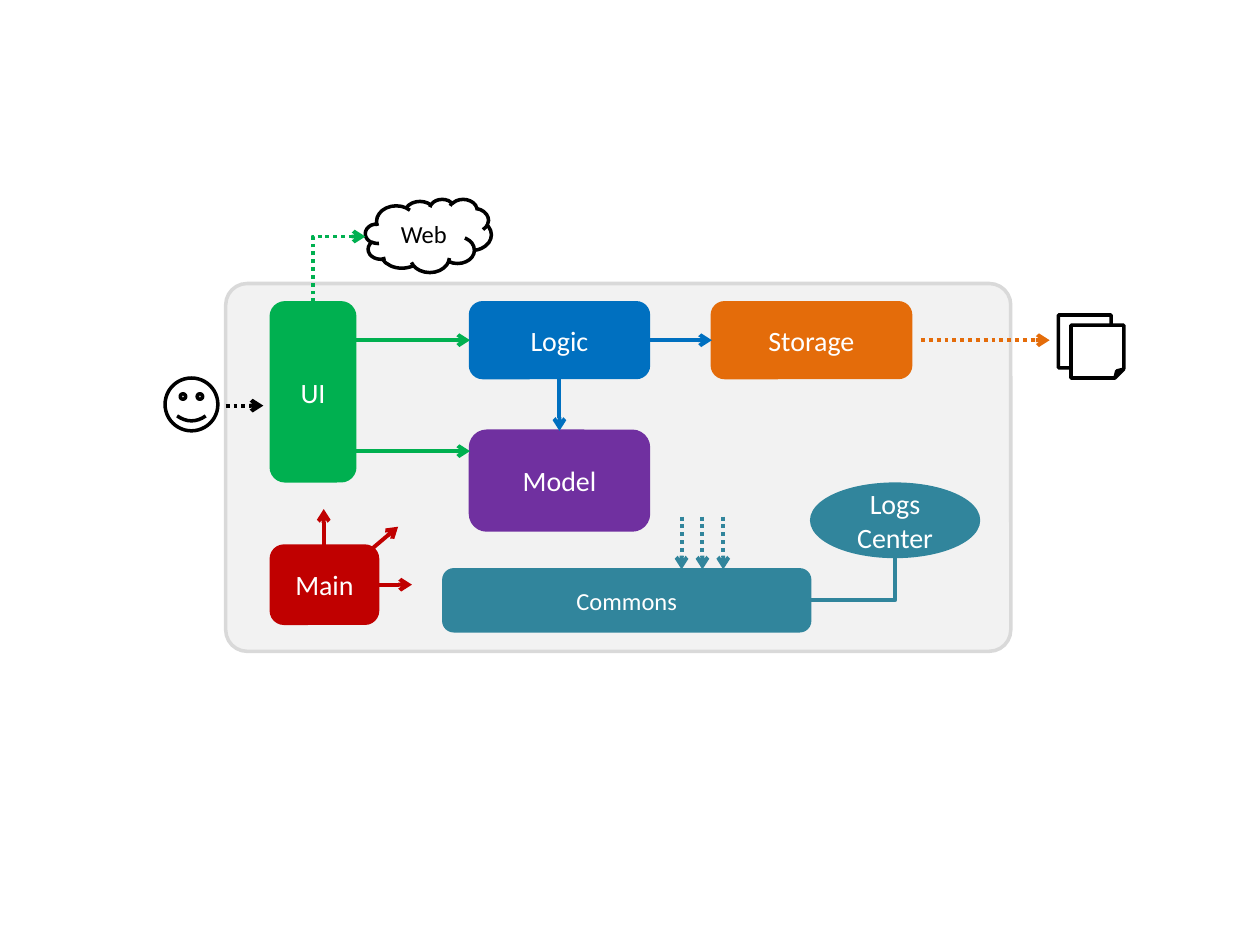
from lxml.etree import SubElement
from pptx import Presentation
from pptx.dml.color import RGBColor
from pptx.enum.dml import MSO_LINE
from pptx.enum.shapes import MSO_CONNECTOR as Connector, MSO_SHAPE as Shape
from pptx.enum.text import MSO_ANCHOR, PP_ALIGN
from pptx.oxml.ns import qn
from pptx.util import Pt

WHITE = RGBColor(0xFF, 0xFF, 0xFF)
BLACK = RGBColor(0x00, 0x00, 0x00)
PANEL = RGBColor(0xF2, 0xF2, 0xF2)
PANEL_EDGE = RGBColor(0xD9, 0xD9, 0xD9)
GREEN = RGBColor(0x00, 0xB0, 0x50)
BLUE = RGBColor(0x00, 0x70, 0xC0)
ORANGE = RGBColor(0xE4, 0x6C, 0x0A)
PURPLE = RGBColor(0x70, 0x30, 0xA0)
TEAL = RGBColor(0x31, 0x85, 0x9C)
RED = RGBColor(0xC0, 0x00, 0x00)


def add_box(slide, kind, box, fill, edge, width=1.5, text="", size=16, color=WHITE):
    """Add a filled preset shape with optional centred text."""
    shape = slide.shapes.add_shape(kind, *map(Pt, box))
    shape.shadow.inherit = False
    shape.fill.solid()
    shape.fill.fore_color.rgb = fill
    shape.line.color.rgb = edge
    shape.line.width = Pt(width)
    if text:
        frame = shape.text_frame
        frame.text = text
        frame.word_wrap = True
        frame.vertical_anchor = MSO_ANCHOR.MIDDLE
        paragraph = frame.paragraphs[0]
        paragraph.alignment = PP_ALIGN.CENTER
        paragraph.font.name = "Calibri"
        paragraph.font.size = Pt(size)
        paragraph.font.color.rgb = color
    return shape


def add_component(slide, box, color, text, size=16):
    """Add a rounded component in one colour."""
    return add_box(slide, Shape.ROUNDED_RECTANGLE, box, color, color, text=text, size=size)


def add_line(slide, start, end, color, dotted=False, arrow=True, kind=Connector.STRAIGHT):
    """Add a connector, dotted or solid, with or without an arrowhead."""
    connector = slide.shapes.add_connector(kind, *map(Pt, (*start, *end)))
    connector.line.color.rgb = color
    connector.line.width = Pt(2.25)
    if dotted:
        connector.line.dash_style = MSO_LINE.ROUND_DOT
    properties = connector.element.spPr
    if arrow:
        SubElement(properties.find(qn("a:ln")), qn("a:tailEnd"), type="arrow")
    SubElement(properties, qn("a:effectLst"))
    return connector


def add_elbow(slide, start, end, color, dotted=False, arrow=True):
    """Add a one-bend connector that runs vertically, then horizontally."""
    center_x, center_y = (start[0] + end[0]) / 2, (start[1] + end[1]) / 2
    turned = [(center_x + y - center_y, center_y - x + center_x) for x, y in (start, end)]
    connector = add_line(slide, *turned, color, dotted, arrow, Connector.ELBOW)
    properties = connector.element.spPr
    properties.find(qn("a:prstGeom")).set("prst", "bentConnector2")
    properties.find(qn("a:xfrm")).set("rot", "5400000")


def add_panel(slide, left, top, width, height):
    """Draw the application frame."""
    panel = add_box(slide, Shape.ROUNDED_RECTANGLE, (left, top, width, height),
                    PANEL, PANEL_EDGE, 2)
    panel.adjustments[0] = 0.058


def add_core(slide, left, top):
    """Draw UI, Logic, Storage and Model with the calls between them."""
    ui_right, logic_left = left + 48.2, left + 113.8
    logic_right, storage_left = logic_left + 102.2, left + 252
    logic_bottom, model_top = top + 43.2, top + 73.4
    logic_middle, call_y = logic_left + 51.1, top + 21.6
    add_component(slide, (left, top, 48.2, 102.2), GREEN, "UI")
    add_component(slide, (logic_left, top, 102.2, 43.2), BLUE, "Logic")
    add_component(slide, (storage_left, top, 113.8, 43.2), ORANGE, "Storage")
    add_component(slide, (logic_left, model_top, 102.2, 56.9), PURPLE, "Model")
    for y in (call_y, top + 85):
        add_line(slide, (ui_right, y), (logic_left, y), GREEN)
    add_line(slide, (logic_middle, logic_bottom), (logic_middle, model_top), BLUE)
    add_line(slide, (logic_right, call_y), (storage_left, call_y), BLUE)


def add_main(slide, left, top):
    """Draw Main with its three outgoing arrows."""
    add_component(slide, (left, top, 61.2, 44.6), RED, "Main")
    for start, end in (((61.2, 22.3), (80.6, 22.3)),
                       ((49.7, 8.6), (72.7, -10.8)),
                       ((30.2, 2.9), (30.2, -20.9))):
        add_line(slide, (left + start[0], top + start[1]),
                 (left + end[0], top + end[1]), RED)


def add_commons(slide, left, top):
    """Draw Commons, its incoming arrows and the logs center."""
    width, height = 209.5, 35.3
    add_component(slide, (left, top, width, height), TEAL, "Commons", 14)
    for index in range(3):
        x = left + 136.1 + 11.9 * index
        add_line(slide, (x, top - 30.2), (x, top), TEAL, dotted=True)
    logs_left, logs_top = left + 210.2, top - 49
    add_box(slide, Shape.OVAL, (logs_left, logs_top, 95.8, 41.8), TEAL, TEAL,
            text="Logs\vCenter")
    add_elbow(slide, (logs_left + 47.9, logs_top + 41.8), (left + width, top + 17.6),
              TEAL, arrow=False)


def add_surroundings(slide, left, top):
    """Draw the user, the web and the files around the application frame."""
    add_box(slide, Shape.SMILEY_FACE, (left - 34.7, top + 54, 30.2, 30.2), WHITE, BLACK, 2)
    add_line(slide, (left, top + 69.8), (left + 21.5, top + 69.8), BLACK, dotted=True)
    add_line(slide, (left + 397.3, top + 32.4), (left + 470.8, top + 32.4), ORANGE, dotted=True)
    for x, y in ((475.8, 18), (483, 23.8)):
        add_box(slide, Shape.FOLDED_CORNER, (left + x, top + y, 30.2, 30.2), WHITE, BLACK, 2)
    add_box(slide, Shape.CLOUD, (left + 79.8, top - 48.2, 72, 41.8), WHITE, BLACK, 2,
            "Web", 14, BLACK)
    add_elbow(slide, (left + 49.8, top + 10.8), (left + 79.8, top - 26.8), GREEN, dotted=True)


def build():
    """Build and save the architecture slide."""
    presentation = Presentation()
    presentation.slide_width, presentation.slide_height = Pt(720), Pt(540)
    slide = presentation.slides.add_slide(presentation.slide_layouts[6])
    left, top = 129, 162
    add_panel(slide, left, top, 448.6, 210.2)
    add_core(slide, left + 25.8, top + 10.8)
    add_surroundings(slide, left, top)
    add_main(slide, left + 25.8, top + 149.8)
    add_commons(slide, left + 124.4, top + 163.4)
    presentation.save("out.pptx")


build()
